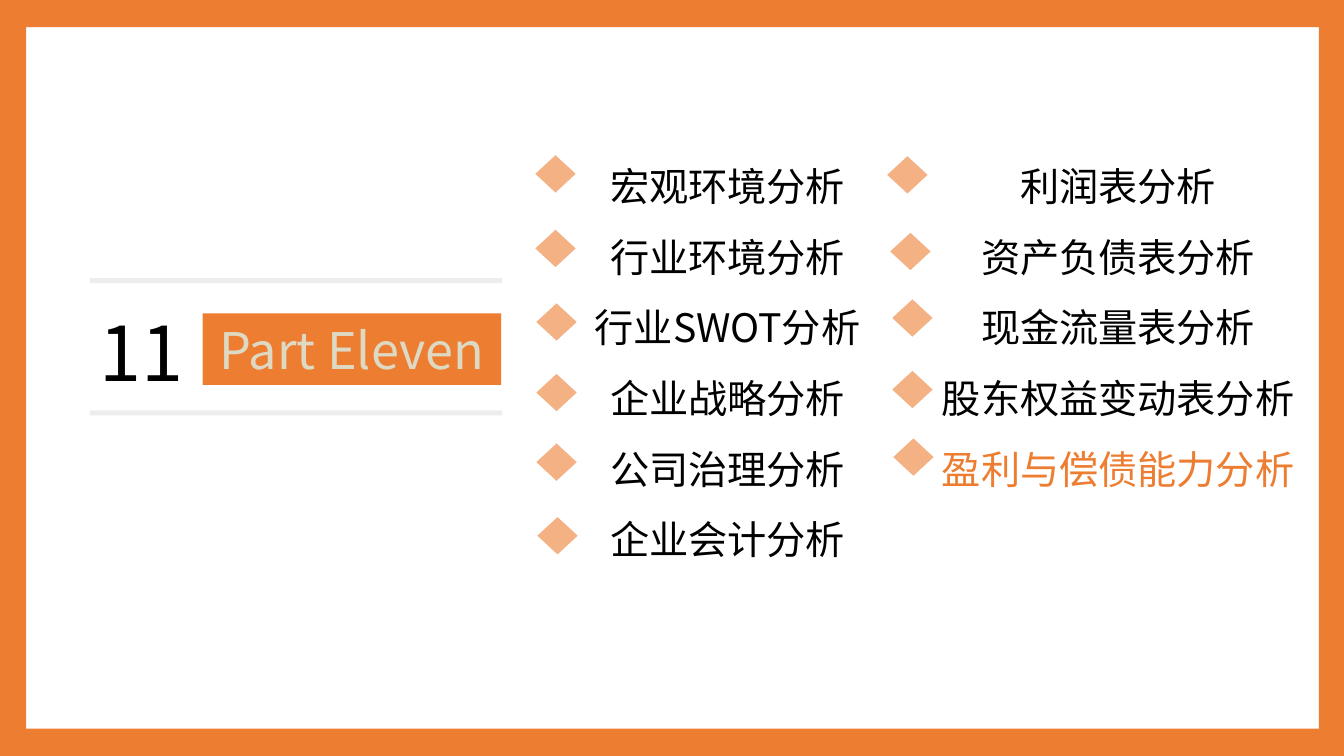
from typing import NamedTuple

from lxml import etree
from pptx import Presentation
from pptx import util as u
from pptx.dml.color import RGBColor
from pptx.enum import shapes, text
from pptx.oxml import ns

FONT = "Noto Sans CJK SC"
COLORS = {
    "orange": "ED7D31",
    "peach": "F4B183",
    "gray": "EDEDED",
    "beige": "DDD9C3",
    "black": "000000",
}


class Box(NamedTuple):
    left: float
    top: float
    width: float
    height: float

    def lengths(self) -> list[u.Length]:
        return [u.Inches(value) for value in self]


class Topic(NamedTuple):
    name: str
    marker_left: float
    marker_top: float
    color: str = "black"


class Column(NamedTuple):
    box: Box
    topics: list[Topic]


BORDERS = [
    Box(0, 0, 13.33, 0.27),
    Box(0, 7.23, 13.33, 0.27),
    Box(0, 0, 0.26, 7.5),
    Box(13.08, -0.02, 0.26, 7.5),
]
RULES = [Box(0.89, top, 4.09, 0.05) for top in (2.76, 4.07)]
COLUMNS = [
    Column(Box(5.19, 1.33, 4.05, 4.34), [
        Topic("宏观环境分析", 5.31, 1.54),
        Topic("行业环境分析", 5.31, 2.28),
        Topic("行业SWOT分析", 5.32, 3.01),
        Topic("企业战略分析", 5.32, 3.71),
        Topic("公司治理分析", 5.32, 4.4),
        Topic("企业会计分析", 5.33, 5.13),
    ]),
    Column(Box(9.16, 1.33, 3.86, 3.64), [
        Topic("利润表分析", 8.8, 1.55),
        Topic("资产负债表分析", 8.83, 2.31),
        Topic("现金流量表分析", 8.85, 2.97),
        Topic("股东权益变动表分析", 8.85, 3.68),
        Topic("盈利与偿债能力分析", 8.86, 4.35, "orange"),
    ]),
]


def rgb(color: str) -> RGBColor:
    return RGBColor.from_string(COLORS[color])


def add_block(slide, kind, box: Box, color: str) -> None:
    sp = slide.shapes.add_shape(kind, *box.lengths())
    sp.shadow.inherit = False
    sp.fill.solid()
    sp.fill.fore_color.rgb = rgb(color)
    sp.line.fill.background()


def write(p, content: str, *, size: float, color: str = "black",
          align=text.PP_ALIGN.LEFT, spacing: float = 1.0) -> None:
    p.alignment = align
    p.line_spacing = spacing
    r = p.add_run()
    r.text = content
    r.font.size = u.Pt(size)
    r.font.bold = False
    r.font.name = FONT
    r.font.color.rgb = rgb(color)
    ea = etree.SubElement(r.font._element, ns.qn("a:ea"))
    ea.set("typeface", FONT)


def add_text_frame(slide, box: Box):
    tf = slide.shapes.add_textbox(*box.lengths()).text_frame
    tf.word_wrap = True
    return tf


def add_title(slide, box: Box, content: str) -> None:
    sp = slide.shapes.title
    sp.left, sp.top, sp.width, sp.height = box.lengths()
    sp.fill.solid()
    sp.fill.fore_color.rgb = rgb("orange")
    tf = sp.text_frame
    tf.auto_size = text.MSO_AUTO_SIZE.NONE
    tf.vertical_anchor = text.MSO_ANCHOR.MIDDLE
    write(tf.paragraphs[0], content, size=36, color="beige",
          align=text.PP_ALIGN.CENTER)


def add_column(slide, column: Column) -> None:
    tf = add_text_frame(slide, column.box)
    for i, topic in enumerate(column.topics):
        marker = Box(topic.marker_left, topic.marker_top, 0.4, 0.37)
        add_block(slide, shapes.MSO_SHAPE.DIAMOND, marker, "peach")
        p = tf.add_paragraph() if i else tf.paragraphs[0]
        write(p, topic.name, size=28, color=topic.color,
              align=text.PP_ALIGN.CENTER, spacing=1.5)


def main() -> None:
    prs = Presentation()
    prs.slide_width, prs.slide_height = u.Inches(13.33), u.Inches(7.5)
    slide = prs.slides.add_slide(prs.slide_layouts[5])
    for border in BORDERS:
        add_block(slide, shapes.MSO_SHAPE.RECTANGLE, border, "orange")
    for rule in RULES:
        add_block(slide, shapes.MSO_SHAPE.RECTANGLE, rule, "gray")
    number = add_text_frame(slide, Box(0.89, 2.99, 1.96, 1.01))
    write(number.paragraphs[0], "11", size=54)
    add_title(slide, Box(2.01, 3.11, 2.96, 0.71), "Part Eleven")
    for column in COLUMNS:
        add_column(slide, column)
    prs.save("out.pptx")


if __name__ == "__main__":
    main()
